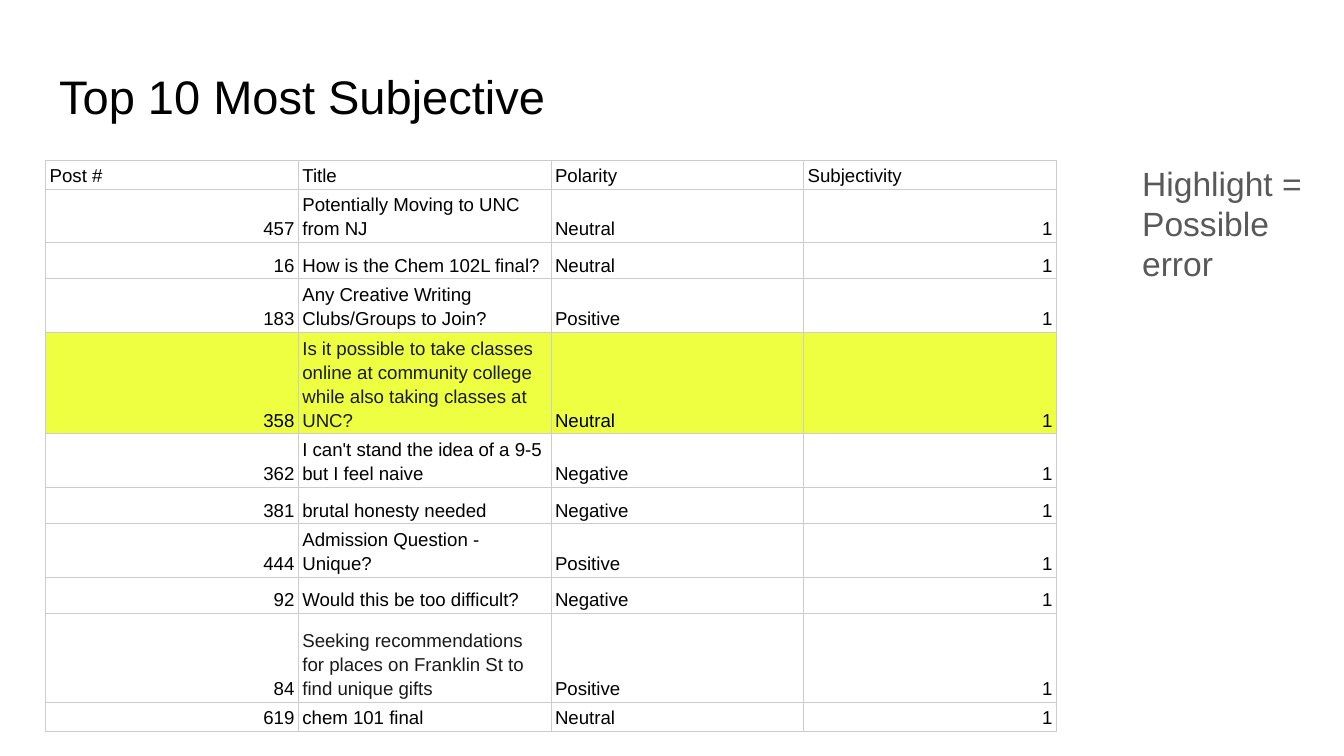
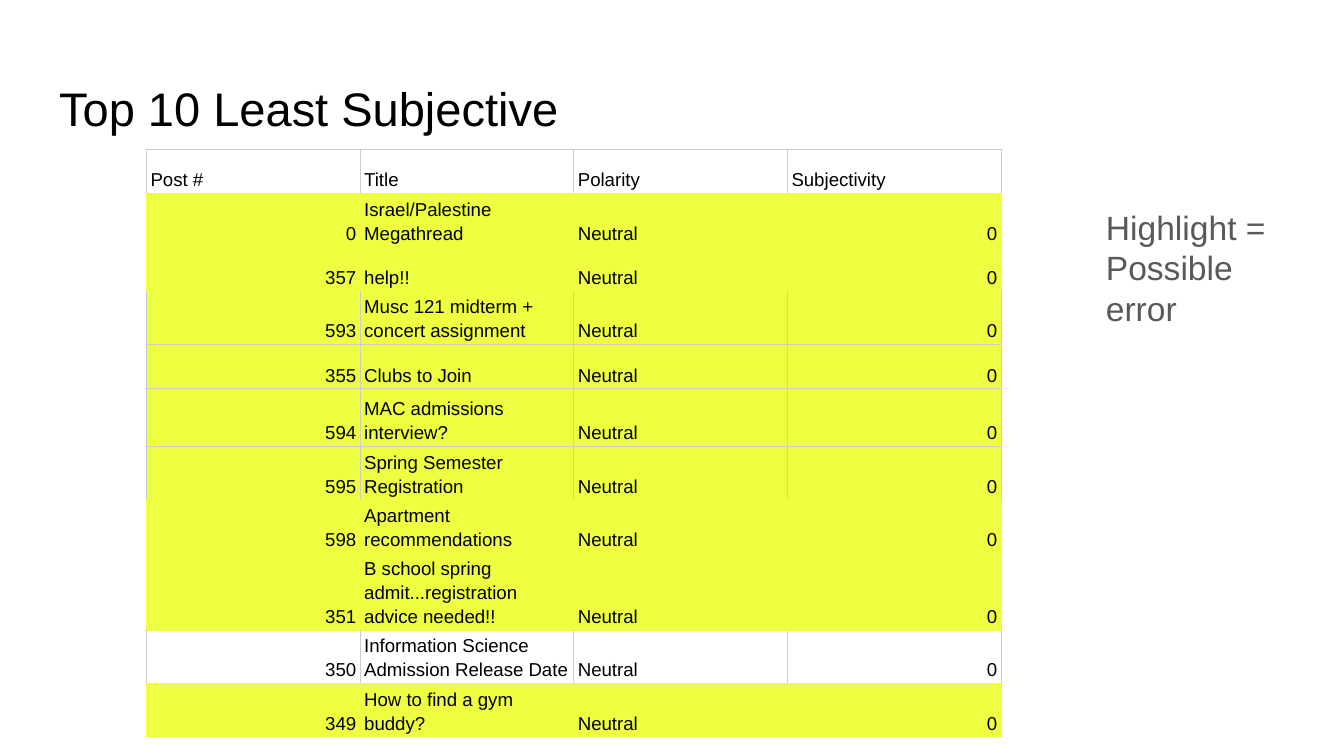
from lxml import etree
from pptx import Presentation
from pptx.dml.color import RGBColor
from pptx.enum import text as t
from pptx.oxml import ns
from pptx.util import Inches, Pt

HUES = {"ink": "000000", "dark": "1A1A1B", "note": "595959",
        "grid": "CCCCCC", "mark": "EEFF41"}
FONT = "Arial"
WIDE = 10
HEAD = ("Post #", "Title", "Polarity", "Subjectivity")

# Post number, title, polarity
MOST = [
    (457, "Potentially Moving to UNC from NJ", "Neutral"),
    (16, "How is the Chem 102L final?", "Neutral"),
    (183, "Any Creative Writing Clubs/Groups to Join?", "Positive"),
    (358, "Is it possible to take classes online at community college "
          "while also taking classes at UNC?", "Neutral"),
    (362, "I can't stand the idea of a 9-5 but I feel naive", "Negative"),
    (381, "brutal honesty needed", "Negative"),
    (444, "Admission Question - Unique?", "Positive"),
    (92, "Would this be too difficult?", "Negative"),
    (84, "Seeking recommendations for places on Franklin St to find "
         "unique gifts", "Positive"),
    (619, "chem 101 final", "Neutral"),
]
LEAST = [(num, name, "Neutral") for num, name in (
    (0, "Israel/Palestine Megathread"),
    (357, "help!!"),
    (593, "Musc 121 midterm + concert assignment"),
    (355, "Clubs to Join"),
    (594, "MAC admissions interview?"),
    (595, "Spring Semester Registration"),
    (598, "Apartment recommendations"),
    (351, "B school spring admit...registration advice needed!!"),
    (350, "Information Science Admission Release Date"),
    (349, "How to find a gym buddy?"),
)]

# Border colours: one letter a row for sides, one a rule for edges
LINES = {"g": "grid", "y": "mark"}
PAGES = [
    dict(title="Top 10 Most Subjective", top=0.4, posts=MOST, score=1,
         spot=(0.34, 1.19), wide=1.88,
         tall=(0.19, 0.36, 0.27, 0.4, 0.7, 0.4, 0.27, 0.27, 0.27, 0.66, 0.19),
         marks={358}, darks={358, 84}, sides="g" * 11, edges="g" * 12,
         note=(8.4, 1.11, 1.6, 1.11)),
    dict(title="Top 10 Least Subjective", top=0.49, posts=LEAST, score=0,
         spot=(1.09, 1.11), wide=1.59,
         tall=(0.33, 0.11, 0.33, 0.33, 0.33, 0.43, 0.37) + (0.33,) * 4,
         marks={post[0] for post in LEAST} - {350}, darks=set(),
         sides="gyyggggyygy", edges="gyyygggyyyyy",
         note=(8.13, 1.44, 1.52, 1.11)),
]


def rgb(hue):
    return RGBColor.from_string(HUES[hue])


def write(frame, words, size=10, hue="ink", right=False, space=None):
    """Put one formatted paragraph in a text frame."""
    para = frame.paragraphs[0]
    para.alignment = t.PP_ALIGN.RIGHT if right else t.PP_ALIGN.LEFT
    if space:
        para.line_spacing = space
    run = para.add_run()
    run.text = words
    run.font.name, run.font.size = FONT, Pt(size)
    run.font.color.rgb = rgb(hue)


def setup(frame, fit):
    """Set wrapping, anchor and margins of a title or note."""
    frame.word_wrap = True
    frame.auto_size = fit
    frame.vertical_anchor = t.MSO_ANCHOR.TOP
    frame.margin_left = frame.margin_right = Inches(0.1)
    frame.margin_top = frame.margin_bottom = Inches(0.1)


def edge(cell, side, hue):
    """Draw one border of a cell."""
    props = cell._tc.get_or_add_tcPr()
    line = etree.SubElement(props, ns.qn("a:ln" + side), w=str(Pt(0.5)))
    fill = etree.SubElement(line, ns.qn("a:solidFill"))
    etree.SubElement(fill, ns.qn("a:srgbClr"), val=HUES[hue])


def head(slide, words, top):
    shape = slide.shapes.title
    shape.left, shape.top = Inches(0.34), Inches(top)
    shape.width, shape.height = Inches(9.32), Inches(0.63)
    setup(shape.text_frame, t.MSO_AUTO_SIZE.NONE)
    write(shape.text_frame, words, size=25.2)


def note(slide, box):
    shape = slide.shapes.add_textbox(*map(Inches, box))
    setup(shape.text_frame, t.MSO_AUTO_SIZE.SHAPE_TO_FIT_TEXT)
    write(shape.text_frame, "Highlight = Possible error", size=18, hue="note")


def enter(cell, value, hue, lit, lines):
    """Fill in one table cell."""
    cell.margin_left = cell.margin_right = Inches(0.03)
    cell.margin_top = cell.margin_bottom = Inches(0.02)
    cell.vertical_anchor = t.MSO_ANCHOR.BOTTOM
    write(cell.text_frame, str(value), hue=hue,
          right=isinstance(value, int), space=1.15)
    # Borders come before the fill in the cell properties
    for side, key in zip("LRTB", lines):
        edge(cell, side, LINES[key])
    if lit:
        cell.fill.solid()
        cell.fill.fore_color.rgb = rgb("mark")
    else:
        cell.fill.background()


def grid(slide, page):
    rows = [HEAD] + [post + (page["score"],) for post in page["posts"]]
    left, top = page["spot"]
    frame = slide.shapes.add_table(
        len(rows), len(HEAD), Inches(left), Inches(top),
        Inches(page["wide"] * len(HEAD)), Inches(sum(page["tall"])))
    table = frame.table
    table.first_row = table.horz_banding = False
    for col in table.columns:
        col.width = Inches(page["wide"])
    for r, row in enumerate(rows):
        table.rows[r].height = Inches(page["tall"][r])
        lines = page["sides"][r] * 2 + page["edges"][r:r + 2]
        for c, value in enumerate(row):
            dark = c == 1 and row[0] in page["darks"]
            enter(table.cell(r, c), value, "dark" if dark else "ink",
                  row[0] in page["marks"], lines)


def build(deck, page):
    slide = deck.slides.add_slide(deck.slide_layouts[5])
    head(slide, page["title"], page["top"])
    grid(slide, page)
    note(slide, page["note"])


def main():
    deck = Presentation()
    # Widescreen, 16 to 9
    deck.slide_width = Inches(WIDE)
    deck.slide_height = Inches(WIDE * 9 / 16)
    for page in PAGES:
        build(deck, page)
    deck.save("out.pptx")


if __name__ == "__main__":
    main()
